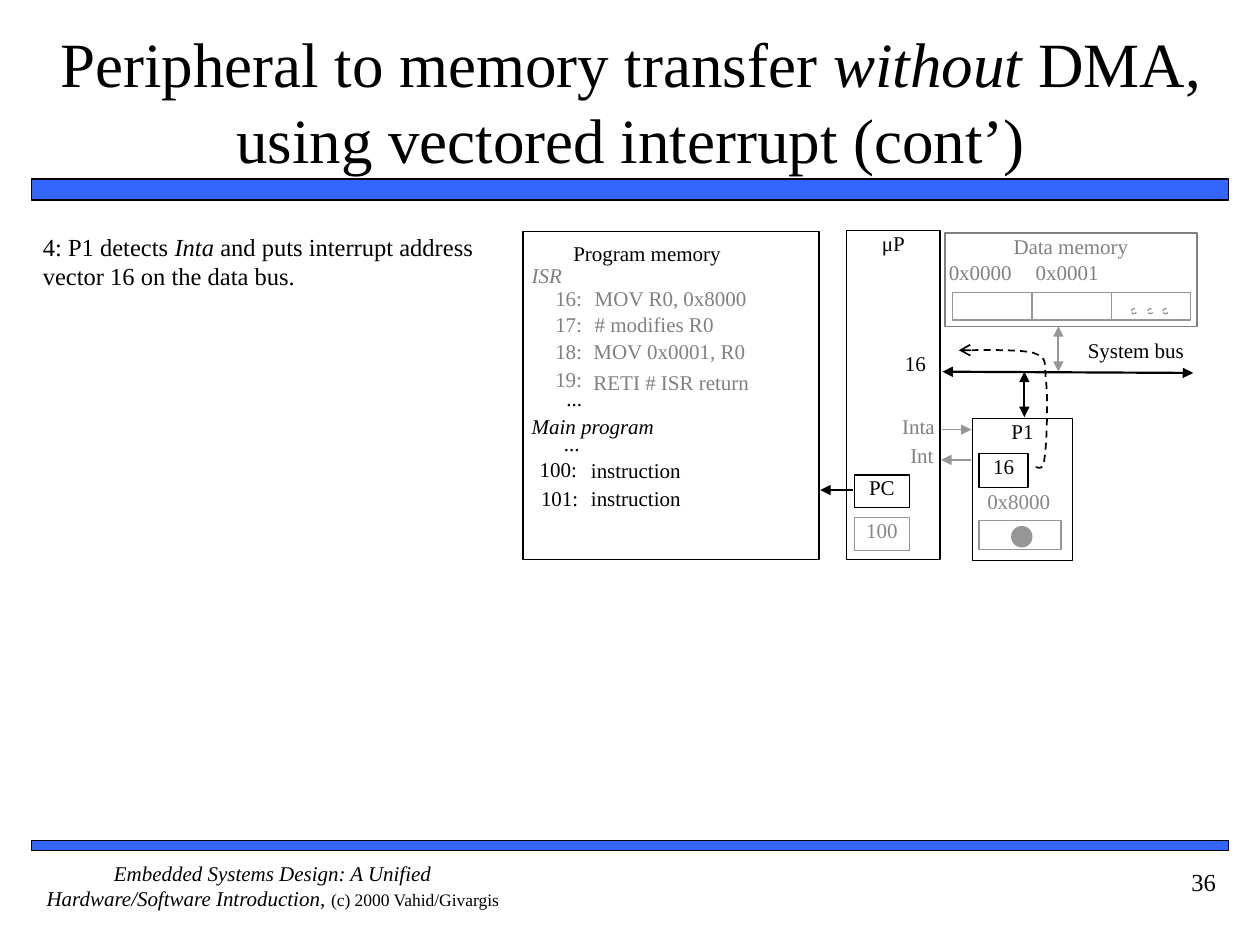
from lxml import etree
from pptx import Presentation
from pptx.dml.color import RGBColor
from pptx.enum.dml import MSO_LINE
from pptx.enum.shapes import MSO_CONNECTOR, MSO_SHAPE
from pptx.enum.text import MSO_ANCHOR, MSO_AUTO_SIZE, PP_ALIGN
from pptx.oxml.ns import qn
from pptx.util import Inches, Pt

LEFT, MID, RIGHT = PP_ALIGN.LEFT, PP_ALIGN.CENTER, PP_ALIGN.RIGHT
RECT, OVAL = MSO_SHAPE.RECTANGLE, MSO_SHAPE.OVAL
TOP, CENTER = MSO_ANCHOR.TOP, MSO_ANCHOR.MIDDLE
DASH = MSO_LINE.DASH
BLACK = RGBColor(0x00, 0x00, 0x00)
BLUE = RGBColor(0x33, 0x66, 0xFF)
GRAY = RGBColor(0x80, 0x80, 0x80)
PALE = RGBColor(0x86, 0x86, 0x86)
SILVER = RGBColor(0x96, 0x96, 0x96)
FONT = "Times New Roman"


def bezier(start, curves, steps=12):
    """Return the points along a chain of cubic curves."""
    pts = [start]
    for a, b, end in curves:
        first = pts[-1]
        for i in range(1, steps + 1):
            t = i / steps
            u = 1 - t
            pts.append(tuple(
                u**3 * p + 3 * u * u * t * q + 3 * u * t * t * r + t**3 * s
                for p, q, r, s in zip(first, a, b, end)))
    return pts


class Pen:
    def __init__(self, slide):
        self.slide = slide
        self.shapes = slide.shapes

    def text(self, frame, runs, align=LEFT, size=12, color=BLACK,
             inset=(0, 0), anchor=TOP):
        """Fill a text frame; each run is (text, italic, size or None)."""
        frame.word_wrap = True
        frame.auto_size = MSO_AUTO_SIZE.NONE
        frame.vertical_anchor = anchor
        frame.margin_left = frame.margin_right = Inches(inset[0])
        frame.margin_top = frame.margin_bottom = Inches(inset[1])
        para = frame.paragraphs[0]
        para.alignment = align
        for words, slant, own in runs:
            run = para.add_run()
            run.text = words
            font = run.font
            font.name, font.size, font.italic = FONT, Pt(own or size), slant
            font.color.rgb = color

    def title(self, box, runs):
        shape = self.shapes.title
        shape.left, shape.top, shape.width, shape.height = map(Inches, box)
        self.text(shape.text_frame, runs, MID, 36, inset=(0, 0.05),
                  anchor=CENTER)

    def rich(self, box, runs, align=LEFT, **style):
        shape = self.shapes.add_textbox(*map(Inches, box))
        self.text(shape.text_frame, runs, align, **style)

    def label(self, box, words, align=LEFT, color=BLACK, slant=False):
        self.rich(box, [(words, slant, None)], align, color=color)

    def shape(self, box, kind=RECT, line=BLACK, fill=None, width=0.75,
              words="", color=BLACK, dash=None):
        shape = self.shapes.add_shape(kind, *map(Inches, box))
        shape.shadow.inherit = False
        self.paint(shape, fill)
        self.stroke(shape, line, width, dash)
        if words:
            self.text(shape.text_frame, [(words, False, None)], MID,
                      color=color)

    def paint(self, shape, fill):
        if fill is None:
            shape.fill.background()
        else:
            shape.fill.solid()
            shape.fill.fore_color.rgb = fill

    def stroke(self, shape, color, width, dash=None, head=None, tail=None):
        shape.line.color.rgb = color
        shape.line.width = Pt(width)
        if dash:
            shape.line.dash_style = dash
        ln = shape._element.spPr.find(qn("a:ln"))
        for tag, end in (("a:headEnd", head), ("a:tailEnd", tail)):
            if end:
                etree.SubElement(ln, qn(tag), type=end)

    def arrow(self, start, end, color=BLACK, width=1.25, both=False):
        line = self.shapes.add_connector(
            MSO_CONNECTOR.STRAIGHT, *map(Inches, start + end))
        self.stroke(line, color, width, tail="triangle",
                    head="triangle" if both else None)
        etree.SubElement(line._element.spPr, qn("a:effectLst"))

    def curve(self, pts):
        pts = [(Inches(x), Inches(y)) for x, y in pts]
        build = self.shapes.build_freeform(*pts[0])
        build.add_line_segments(pts[1:], close=False)
        shape = build.convert_to_shape()
        shape.shadow.inherit = False
        self.paint(shape, None)
        self.stroke(shape, BLACK, 1, DASH, tail="arrow")


def frame(pen):
    for top, high in ((1.42, 0.17), (6.67, 0.08)):
        pen.shape((0.25, top, 9.5, high), fill=BLUE, width=1)
    pen.rich((0.25, 6.83, 3.83, 0.5), [
        ("Embedded Systems Design: A Unified Hardware/Software "
         "Introduction, ", True, None),
        ("(c) 2000 Vahid/Givargis", False, 10)], MID)
    pen.rich((8.75, 6.83, 1, 0.5), [("36", False, 14)], RIGHT,
             inset=(0.1, 0.05))
    pen.title((0.42, 0.17, 9.17, 1.25), [
        ("Peripheral to memory transfer ", False, None),
        ("without", True, None),
        (" DMA, using vectored interrupt (cont’)", False, None)])
    pen.rich((0.34, 1.84, 3.42, 0.93), [
        ("4: P1 detects ", False, None), ("Inta", True, None),
        (" and puts interrupt address vector 16 on the data bus.",
         False, None)], size=14)


def program(pen):
    pen.shape((4.15, 1.84, 2.35, 2.6))
    pen.label((4.55, 1.91, 1.61, 0.3), "Program memory")
    pen.label((4.22, 2.08, 0.5, 0.31), "ISR", color=GRAY, slant=True)
    pen.label((4.22, 3.28, 1.38, 0.3), "Main program", slant=True)
    rows = (
        ("16:", 4.62, 2.27, "MOV R0, 0x8000", 4.72, 2.27, GRAY),
        ("17:", 4.62, 2.47, "# modifies R0", 4.72, 2.47, GRAY),
        ("18:", 4.62, 2.69, "MOV 0x0001, R0", 4.71, 2.69, GRAY),
        ("19:", 4.62, 2.91, "RETI # ISR return", 4.71, 2.93, GRAY),
        ("...", 4.62, 3.06, "", 0, 0, BLACK),
        ("...", 4.6, 3.42, "", 0, 0, BLACK),
        ("100:", 4.58, 3.62, "instruction", 4.69, 3.63, BLACK),
        ("101:", 4.59, 3.85, "instruction", 4.69, 3.85, BLACK))
    for mark, right, top, code, left, base, color in rows:
        pen.label((right - 0.45, top, 0.45, 0.23), mark, RIGHT, color)
        if code:
            pen.label((left, base, 1.75, 0.23), code, color=color)


def chip(pen):
    pen.shape((6.72, 1.83, 0.74, 2.61), words="μP")
    pen.shape((6.78, 3.77, 0.44, 0.26), words="PC")
    pen.shape((6.78, 4.11, 0.44, 0.26), line=SILVER, words="100", color=PALE)
    pen.label((7.12, 2.78, 0.29, 0.2), "16", MID)
    pen.label((7.06, 3.28, 0.36, 0.29), "Inta", RIGHT, GRAY)
    pen.label((7.08, 3.51, 0.33, 0.29), "Int", RIGHT, GRAY)
    pen.arrow((6.77, 3.89), (6.51, 3.89))
    pen.arrow((7.48, 3.41), (7.71, 3.41), SILVER, 0.75)
    pen.arrow((7.71, 3.65), (7.47, 3.65), SILVER, 0.75)


def memory(pen):
    pen.shape((7.5, 1.85, 2, 0.74), line=GRAY, words="Data memory",
              color=GRAY)
    for left, words in ((7.53, "0x0000"), (8.22, "0x0001")):
        pen.label((left, 2.06, 0.68, 0.22), words, color=GRAY)
    for i in range(3):
        pen.shape((7.56 + 0.63 * i, 2.32, 0.63, 0.22), line=SILVER)
    for left in (8.98, 9.11, 9.23):
        pen.shape((left, 2.45, 0.04, 0.04), OVAL, SILVER, dash=DASH)


def device(pen):
    pen.shape((7.72, 3.32, 0.79, 1.13), words="P1")
    pen.shape((7.77, 3.6, 0.39, 0.27), words="16")
    pen.label((7.74, 3.88, 0.69, 0.27), "0x8000", MID, PALE)
    pen.shape((7.77, 4.13, 0.65, 0.23), line=SILVER)
    pen.shape((8.03, 4.18, 0.16, 0.16), OVAL, SILVER, SILVER)


def bus(pen):
    pen.label((8.49, 2.68, 1.05, 0.31), "System bus", MID)
    pen.arrow((8.4, 2.59), (8.4, 2.95), SILVER, both=True)
    pen.arrow((7.48, 2.95), (9.47, 2.96), both=True)
    pen.arrow((8.13, 2.95), (8.13, 3.31), both=True)
    pen.curve(bezier((8.22, 3.71), (
        ((8.23, 3.7), (8.28, 3.75), (8.29, 3.64)),
        ((8.31, 3.52), (8.32, 3.14), (8.3, 3)),
        ((8.29, 2.86), (8.31, 2.84), (8.2, 2.8)),
        ((8.08, 2.77), (7.74, 2.78), (7.61, 2.78)))))


def main():
    deck = Presentation()
    deck.slide_width, deck.slide_height = Inches(10), Inches(7.5)
    pen = Pen(deck.slides.add_slide(deck.slide_layouts[5]))
    for part in (frame, program, chip, memory, device, bus):
        part(pen)
    deck.save("out.pptx")


if __name__ == "__main__":
    main()
